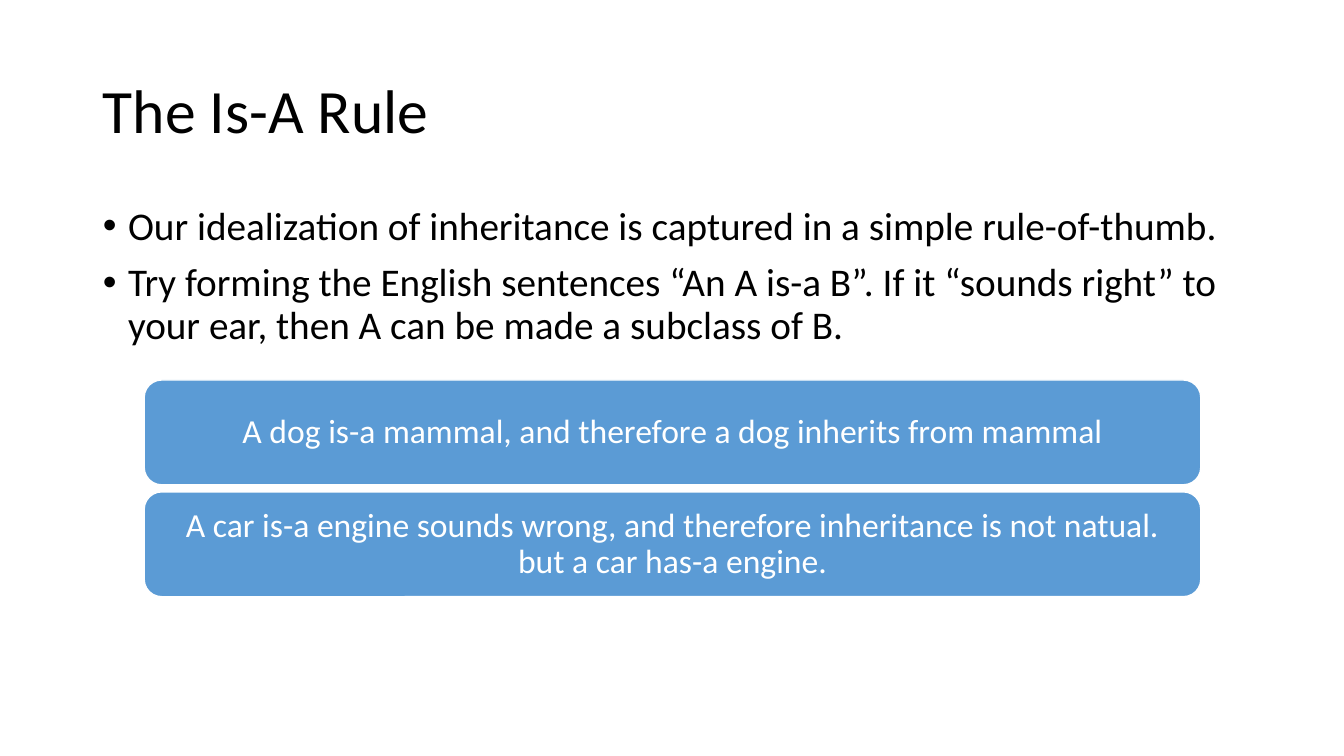
import pptx
import pptx.util
import pptx.dml.color
import pptx.enum.shapes
import pptx.enum.text

Inches = pptx.util.Inches
Pt = pptx.util.Pt
Align = pptx.enum.text.PP_ALIGN
Anchor = pptx.enum.text.MSO_ANCHOR

COLORS = {"ink": "000000", "paper": "FFFFFF", "box": "5B9BD5"}


class Deck:
    """Holds the style and the current slide."""

    font = "Calibri"

    def __init__(self):
        self.prs = pptx.Presentation()
        self.prs.slide_width = Inches(13.33)
        self.prs.slide_height = Inches(7.5)
        self.slide = self.prs.slides.add_slide(self.prs.slide_layouts[1])

    def color(self, name):
        return pptx.dml.color.RGBColor.from_string(COLORS[name])

    def place(self, shape, left, top, width, height):
        shape.left, shape.top = Inches(left), Inches(top)
        shape.width, shape.height = Inches(width), Inches(height)

    def frame(self, shape, anchor):
        frame = shape.text_frame
        frame.word_wrap = True
        frame.auto_size = pptx.enum.text.MSO_AUTO_SIZE.NONE
        frame.vertical_anchor = anchor
        return frame

    def add_text(self, para, text, size, color, align):
        para.alignment = align
        para.line_spacing = 0.9
        run = para.add_run()
        run.text = text
        run.font.name = self.font
        run.font.size = Pt(size)
        run.font.color.rgb = self.color(color)

    def title(self, text, *spot):
        shape = self.slide.shapes.title
        self.place(shape, *spot)
        frame = self.frame(shape, Anchor.MIDDLE)
        self.add_text(frame.paragraphs[0], text, 44, "ink", Align.LEFT)

    def bullets(self, items, *spot):
        shape = self.slide.placeholders[1]
        self.place(shape, *spot)
        frame = self.frame(shape, Anchor.TOP)
        for i, text in enumerate(items):
            para = frame.add_paragraph() if i else frame.paragraphs[0]
            self.add_text(para, text, 28, "ink", Align.LEFT)
            para.space_before = Pt(10)
            props = para._p.get_or_add_pPr()
            props.set("marL", str(Inches(0.25)))
            props.set("indent", str(-Inches(0.25)))

    def box(self, text, *spot):
        kind = pptx.enum.shapes.MSO_SHAPE.ROUNDED_RECTANGLE
        shape = self.slide.shapes.add_shape(kind, *map(Inches, spot))
        shape.shadow.inherit = False
        shape.fill.solid()
        shape.fill.fore_color.rgb = self.color("box")
        shape.line.color.rgb = self.color("paper")
        shape.line.width = Pt(1)
        frame = self.frame(shape, Anchor.MIDDLE)
        frame.margin_left = frame.margin_right = Inches(0.1)
        frame.margin_top = frame.margin_bottom = Inches(0.1)
        self.add_text(frame.paragraphs[0], text, 24, "paper", Align.CENTER)


def main():
    deck = Deck()

    # Title and rule
    deck.title("The Is-A Rule", 0.92, 0.4, 11.5, 1.45)
    deck.bullets([
        "Our idealization of inheritance is captured in a simple rule-of-thumb.",
        "Try forming the English sentences “An A is-a B”. If it “sounds right” "
        "to your ear, then A can be made a subclass of B.",
    ], 0.92, 2, 11.5, 1.75)

    # Stacked examples
    cases = [
        "A dog is-a mammal, and therefore a dog inherits from mammal",
        "A car is-a engine sounds wrong, and therefore inheritance is not "
        "natual. but a car has-a engine.",
    ]
    top, step = 3.77, 1.11
    for i, text in enumerate(cases):
        deck.box(text, 1.43, top + i * step, 10.48, 1.04)

    deck.prs.save("out.pptx")


if __name__ == "__main__":
    main()
